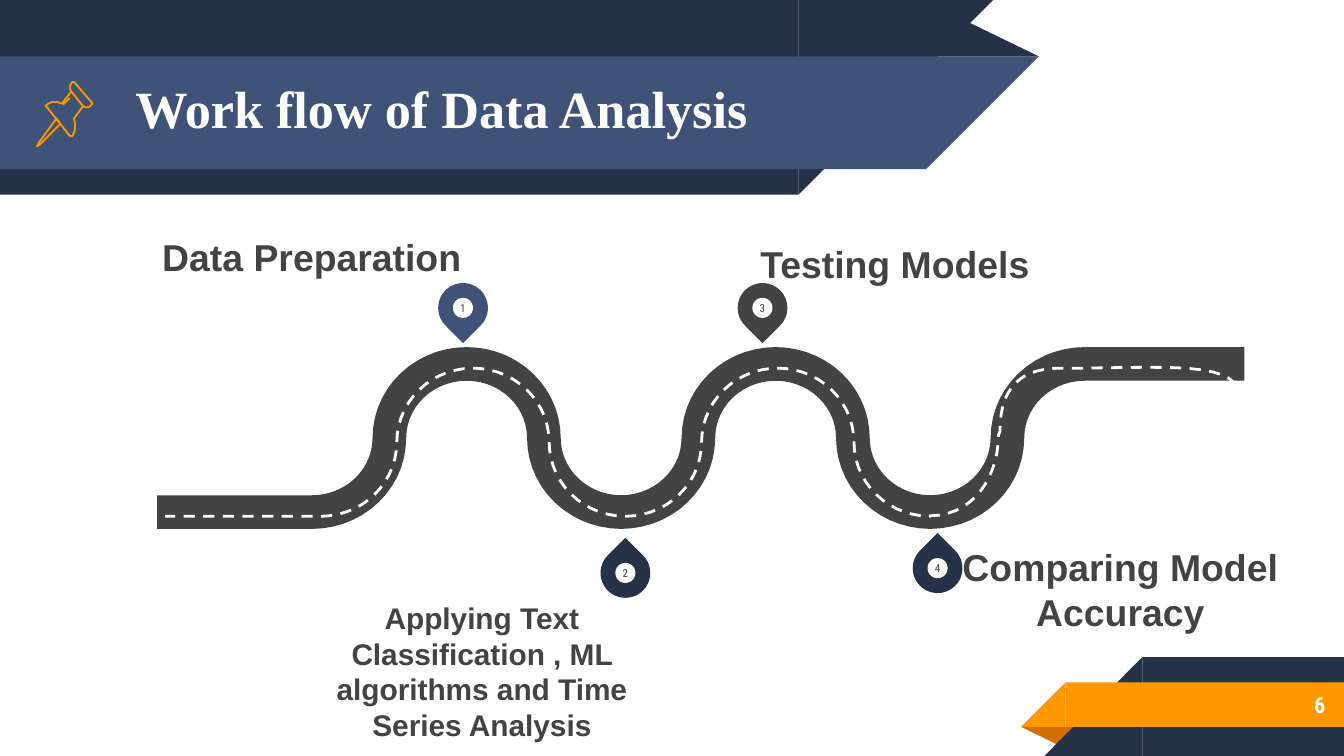
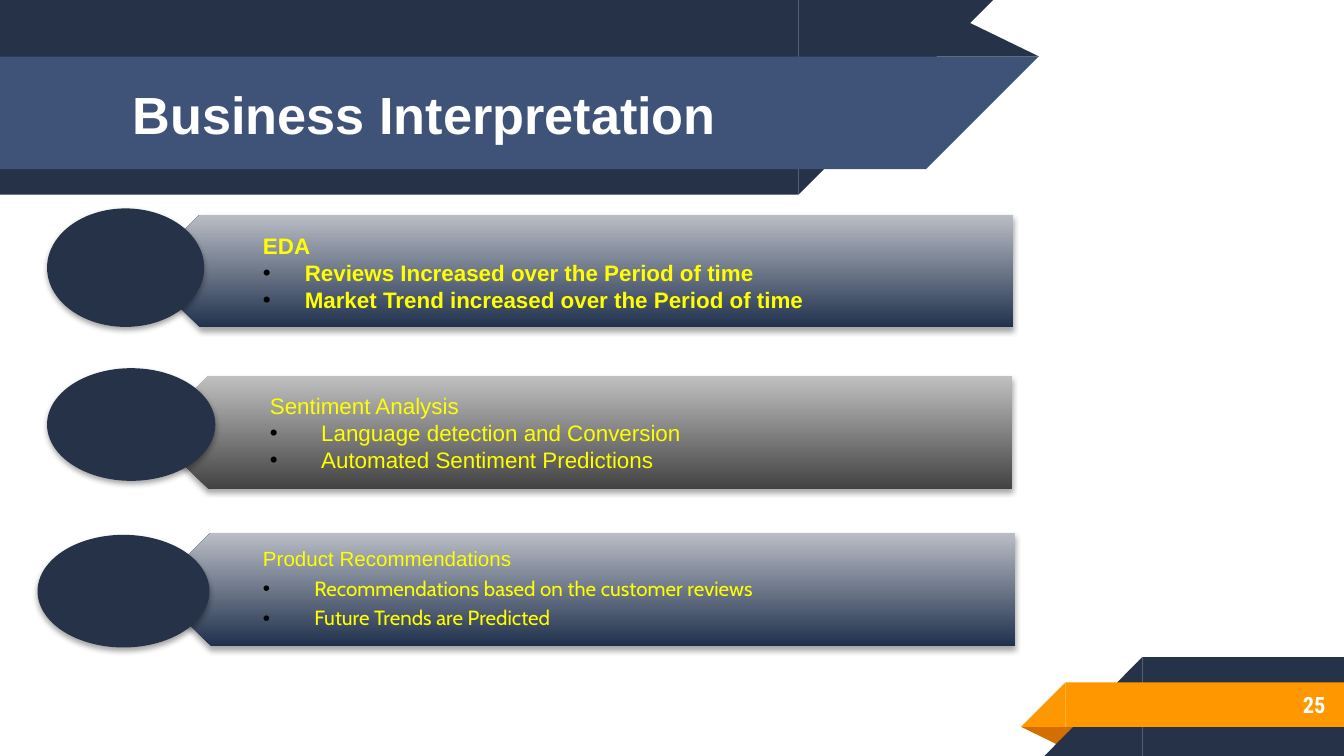
import math
from lxml import etree
from pptx import Presentation
from pptx import util as u
from pptx.dml.color import RGBColor
from pptx.enum import dml, shapes, text
from pptx.oxml.ns import qn


class Theme:
    navy, blue, grey = "263248", "3F5378", "434343"
    orange, rust = "FF9800", "D26F00"
    white, yellow, black = "FFFFFF", "FFFF00", "000000"
    steel, mist, silver = "21314D", "B9BDC5", "C0C0C0"
    sans, serif, narrow, soft = "Arial", "Times New Roman", "Roboto Condensed", "Cabin"
    title, label, caption, body, small, pin = 28, 20, 16, 12, 11, 6


MSO, ALIGN, ANCHOR = shapes.MSO_SHAPE, text.PP_ALIGN, text.MSO_ANCHOR


def add_shape(s, kind, at, fill):
    sp = s.shapes.add_shape(kind, *map(u.Cm, at))
    sp.fill.solid()
    sp.fill.fore_color.rgb = RGBColor.from_string(fill)
    sp.line.fill.background()
    sp.shadow.inherit = False
    return sp


def write(sp, lines, size, color, font=Theme.sans, bold=True, align=ALIGN.LEFT,
          anchor=ANCHOR.MIDDLE, insets=(0, 0, 0, 0)):
    tf = sp.text_frame
    tf.word_wrap = True
    tf.auto_size = text.MSO_AUTO_SIZE.NONE
    tf.vertical_anchor = anchor
    tf.margin_left, tf.margin_top, tf.margin_right, tf.margin_bottom = map(u.Cm, insets)
    for i, line in enumerate(lines):
        p = tf.add_paragraph() if i else tf.paragraphs[0]
        p.alignment = align
        r = p.add_run()
        r.text = line
        r.font.size, r.font.name, r.font.bold = u.Pt(size), font, bold
        r.font.color.rgb = RGBColor.from_string(color)
    return tf


prs = Presentation()
prs.slide_width, prs.slide_height = u.Cm(25.4), u.Cm(14.29)
master = prs.slide_master
layouts = [prs.slide_layouts.get_by_name(n) for n in ("Title Only", "Comparison")]
for part in (*layouts, master):
    for ph in list(part.placeholders):
        if ph.top > prs.slide_height:
            ph.element.getparent().remove(ph.element)
workflow, business = [prs.slides.add_slide(layout) for layout in layouts]

# Ribbons shared through the master: kind, place, colour, rotation, flipped
RIBBONS = [
    (MSO.ISOSCELES_TRIANGLE, (17.48, 0.36, 2.16, 0.71), Theme.navy, 0, False),
    (MSO.RECTANGLE, (0, 0, 15.09, 3.68), Theme.navy, 0, False),
    (MSO.RIGHT_TRIANGLE, (15.09, 0, 3.68, 3.68), Theme.navy, 180, True),
    (MSO.RECTANGLE, (0, 1.07, 17.5, 2.13), Theme.blue, 0, False),
    (MSO.RIGHT_TRIANGLE, (17.5, 1.07, 2.13, 2.13), Theme.blue, 180, True),
    (MSO.ISOSCELES_TRIANGLE, (19.3, 13.74, 1.09, 0.36), Theme.rust, 180, False),
    (MSO.RECTANGLE, (21.59, 12.42, 3.81, 1.87), Theme.navy, 0, False),
    (MSO.RIGHT_TRIANGLE, (19.74, 12.42, 1.85, 1.87), Theme.navy, 0, True),
    (MSO.RECTANGLE, (20.14, 12.9, 5.26, 0.84), Theme.orange, 0, False),
    (MSO.RIGHT_TRIANGLE, (19.3, 12.9, 0.84, 0.84), Theme.orange, 0, True),
]
for i, (kind, at, fill, turn, flipped) in enumerate(RIBBONS):
    sp = add_shape(workflow, kind, at, fill)
    sp.rotation = turn
    if flipped:
        sp.element.spPr.xfrm.set("flipH", "1")
    if kind == MSO.ISOSCELES_TRIANGLE:
        sp.adjustments[0] = 0.324
    master.shapes.element.insert(2 + i, sp.element)

# Titles and slide numbers
for s, title, font, at, number in [
    (workflow, "Work flow of Data Analysis", Theme.serif, (2.31, 1.33, 14.22, 1.4), "6"),
    (business, "Business Interpretation", Theme.sans, (2.26, 1.09, 14.6, 2.13), "25"),
]:
    sp = s.shapes.title
    sp.left, sp.top, sp.width, sp.height = map(u.Cm, at)
    write(sp, [title], Theme.title, Theme.white, font, insets=[0.25] * 4)
    sp = s.shapes.add_textbox(*map(u.Cm, (21.16, 12.88, 4.14, 0.89)))
    write(sp, [number], Theme.body, Theme.white, Theme.narrow, align=ALIGN.RIGHT,
          insets=[0.25] * 4)

# Winding road: quarter arcs swing between crests and troughs
STEPS = 14
waves = []
for crest, radius, middle, first in [(20.5, 1.46, 8.28, 0), (20.46, 1.44, 8.36, 2)]:
    wave = []
    for i in range(first * STEPS, 10 * STEPS + 1):
        angle = i * math.pi / 2 / STEPS
        turn = round(angle / math.pi)
        wave.append((crest - radius * (2 * turn + math.sin(angle - turn * math.pi)),
                     middle - 1.4 * math.cos(angle)))
    waves.append(wave)

# Right end of the lane marking
lane_end = []
for curve in [
    [(23.47, 7.62), (23.47, 6.86), (22.48, 6.93), (20.47, 6.96)],
    [(20.04, 6.96), (19.23, 6.96), (18.9, 7.39), (18.9, 8.15)],
    [(18.87, 8.23), (18.87, 9.02), (18.39, 9.75), (17.58, 9.75)],
]:
    for i in range(STEPS + 1):
        t = i / STEPS
        weights = ((1 - t) ** 3, 3 * t * (1 - t) ** 2, 3 * t * t * (1 - t), t ** 3)
        lane_end.append([sum(w * pt[axis] for w, pt in zip(weights, curve))
                         for axis in (0, 1)])

# Road and pushpin outlines: points, closed, colour, width, dash
needle = [(1.07, 2.24), (0.74, 2.69), (0.7, 2.77), (0.77, 2.72), (1.14, 2.34)]
head = [(1.35, 1.73), (1.57, 2.01), (1.63, 2.03), (1.68, 2.03), (1.73, 1.98), (1.75, 1.96),
        (1.73, 1.93), (1.4, 1.55), (1.37, 1.55), (1.35, 1.57), (1.32, 1.63), (1.32, 1.68)]
grip = [(1.35, 1.73), (1.17, 1.96), (1.09, 1.93), (0.99, 1.93), (0.91, 1.96), (0.86, 2.01),
        (0.89, 2.03), (1.32, 2.57), (1.37, 2.57), (1.4, 2.51), (1.42, 2.44), (1.42, 2.34),
        (1.4, 2.24), (1.57, 2.01)]
for points, closed, color, width, dash in [
    ([(23.52, 6.88), *waves[0], (2.97, 9.68)], False, Theme.grey, 18, None),
    ([*lane_end, *waves[1], (3.12, 9.76)], False, Theme.white, 1.5, dml.MSO_LINE.DASH),
    (needle, True, Theme.orange, 0.96, None),
    (head, True, Theme.orange, 0.96, None),
    (grip, False, Theme.orange, 0.96, None),
]:
    points = [(u.Cm(x), u.Cm(y)) for x, y in points]
    outline = workflow.shapes.build_freeform(*points[0])
    outline.add_line_segments(points[1:], close=closed)
    sp = outline.convert_to_shape()
    sp.fill.background()
    sp.shadow.inherit = False
    sp.line.color.rgb = RGBColor.from_string(color)
    sp.line.width = u.Pt(width)
    if dash:
        sp.line.dash_style = dash
glint = workflow.shapes.add_connector(shapes.MSO_CONNECTOR.STRAIGHT,
                                      *map(u.Cm, (1.19, 1.98, 1.32, 1.85)))
glint.line.color.rgb = RGBColor.from_string(Theme.orange)
glint.line.width = u.Pt(0.96)
etree.SubElement(glint.element.spPr, qn("a:effectLst"))

# Numbered pins
for number, x, y, fill, turn in [
    ("1", 8.28, 5.35, Theme.blue, 135),
    ("3", 13.94, 5.35, Theme.grey, 135),
    ("4", 17.25, 10.27, Theme.navy, 315),
    ("2", 11.35, 10.36, Theme.navy, 315),
]:
    add_shape(workflow, MSO.TEAR, (x, y, 0.94, 0.94), fill).rotation = turn
    sp = add_shape(workflow, MSO.OVAL, (x + 0.28, y + 0.28, 0.38, 0.38), Theme.white)
    write(sp, [number], Theme.pin, Theme.grey, Theme.narrow, False, ALIGN.CENTER)

# Step labels
for label, at, size, anchor in [
    ("Data Preparation", (3, 4.7, 5.79, 0.58), Theme.label, ANCHOR.BOTTOM),
    ("Testing Models", (13.31, 4.65, 7.21, 0.76), Theme.label, ANCHOR.BOTTOM),
    ("Applying Text Classification , ML algorithms and Time Series Analysis",
     (6.1, 11.33, 6.02, 2.49), Theme.caption, ANCHOR.TOP),
    ("Comparing Model Accuracy", (17.53, 10.29, 7.29, 1.12), Theme.label, ANCHOR.TOP),
]:
    sp = workflow.shapes.add_textbox(*map(u.Cm, at))
    write(sp, [label], size, Theme.grey, align=ALIGN.CENTER, anchor=anchor)

# Findings: arrow, list and disc on each row
FINDINGS = [
    (["EDA", "Reviews Increased over the Period of time",
      "Market Trend increased over the Period of time"],
     (2.72, 4.06, 16.43, 2.13), (3.4, 4.09, 15.77, 2.13), (0.89, 3.94, 2.97, 2.24),
     (Theme.steel, Theme.mist), Theme.body, True, 0.79),
    (["Sentiment Analysis", "Language detection and Conversion",
      "Automated Sentiment Predictions"],
     (2.87, 7.11, 16.26, 2.13), (3.53, 7.11, 15.6, 2.13), (0.89, 6.96, 3.18, 2.13),
     (Theme.grey, Theme.silver), Theme.body, False, 0.97),
    (["Product Recommendations", "Recommendations based on the customer reviews",
      "Future Trends are Predicted"],
     (2.92, 10.08, 16.26, 2.13), (3.4, 10.08, 14, 2.13), (0.71, 10.11, 3.25, 2.13),
     (Theme.steel, Theme.mist), Theme.small, False, 0.97),
]
*bodies, spare = [ph for ph in business.placeholders if ph.placeholder_format.idx]
spare.element.getparent().remove(spare.element)
for body, (lines, arrow_at, list_at, disc_at, shades, size, bold, indent) in zip(bodies, FINDINGS):
    arrow = add_shape(business, MSO.PENTAGON, arrow_at, shades[0])
    arrow.element.spPr.xfrm.set("flipH", "1")
    arrow.fill.gradient()
    arrow.fill.gradient_angle = 90
    for stop, shade in zip(arrow.fill.gradient_stops, shades):
        stop.color.rgb = RGBColor.from_string(shade)
    disc = add_shape(business, MSO.OVAL, disc_at, Theme.navy)
    for sp in (arrow, disc):
        effects = sp.element.spPr.find(qn("a:effectLst"))
        shadow = etree.SubElement(effects, qn("a:outerShdw"), blurRad=str(u.Pt(3.1)),
                                  dist=str(u.Pt(1.8)), dir="5400000", rotWithShape="0")
        tone = etree.SubElement(shadow, qn("a:srgbClr"), val=Theme.black)
        etree.SubElement(tone, qn("a:alpha"), val="35000")

    body.left, body.top, body.width, body.height = map(u.Cm, list_at)
    business.shapes.element.append(body.element)
    tf = write(body, lines, size, Theme.yellow, bold=bold, insets=(1.57, 0.23, 0.43, 0.23))
    for i, p in enumerate(tf.paragraphs):
        p.space_before = u.Pt(0)
        if size == Theme.small:
            p.line_spacing, p.space_after = 0.9, u.Pt(4)
            p.runs[0].font.name = Theme.soft if i else Theme.sans
        pPr = p._p.get_or_add_pPr()
        pPr.set("marL", str(u.Cm(indent) if i else 0))
        pPr.set("indent", str(-u.Cm(indent) if i else 0))
        if i:
            tint = etree.SubElement(pPr, qn("a:buClr"))
            etree.SubElement(tint, qn("a:srgbClr"), val=Theme.black)
            etree.SubElement(pPr, qn("a:buFont"), typeface=Theme.sans)
            etree.SubElement(pPr, qn("a:buChar"), char="•")
        else:
            etree.SubElement(pPr, qn("a:buNone"))

prs.save("out.pptx")
